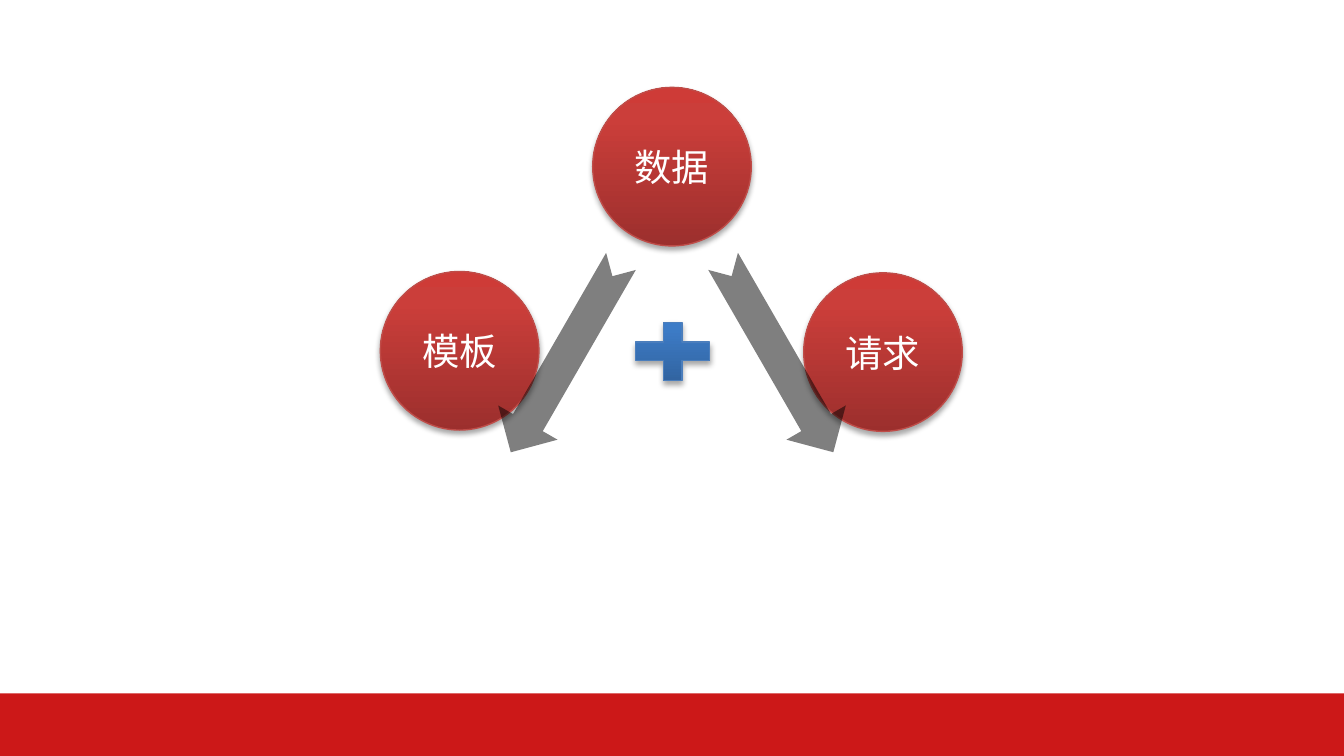
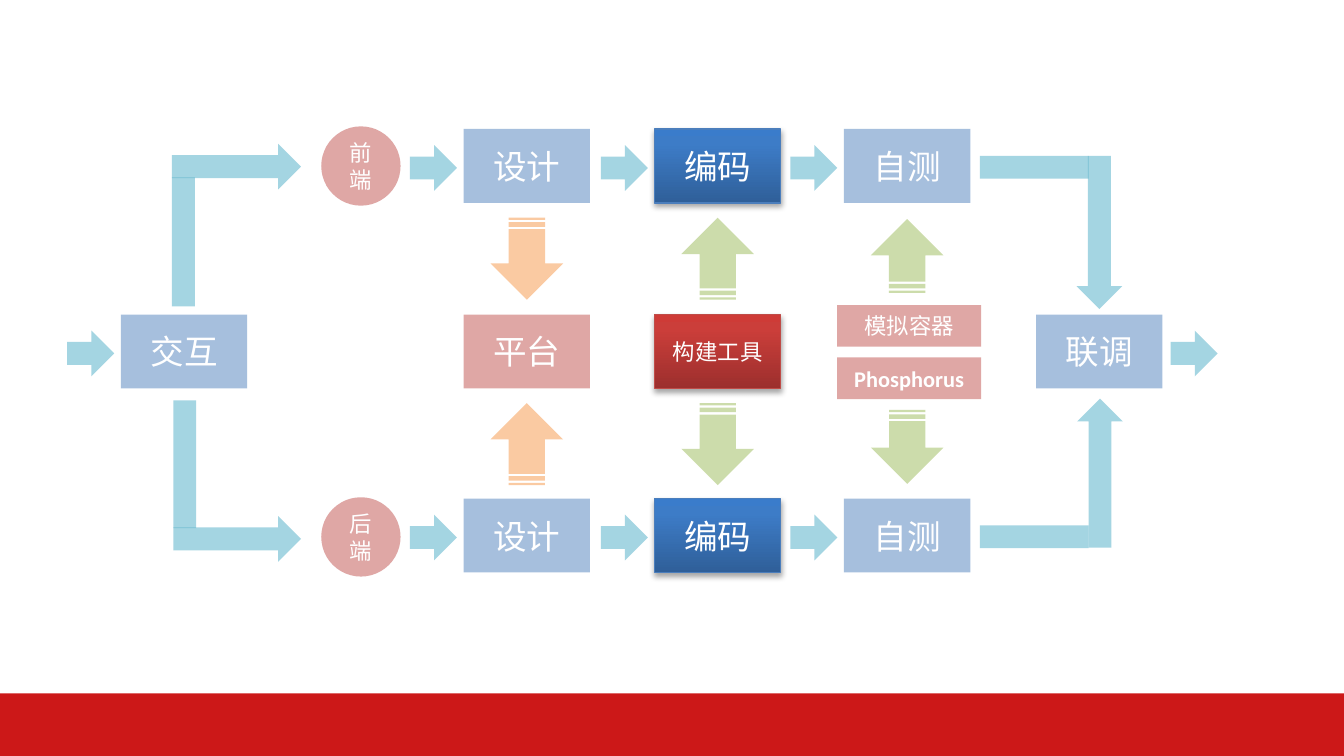
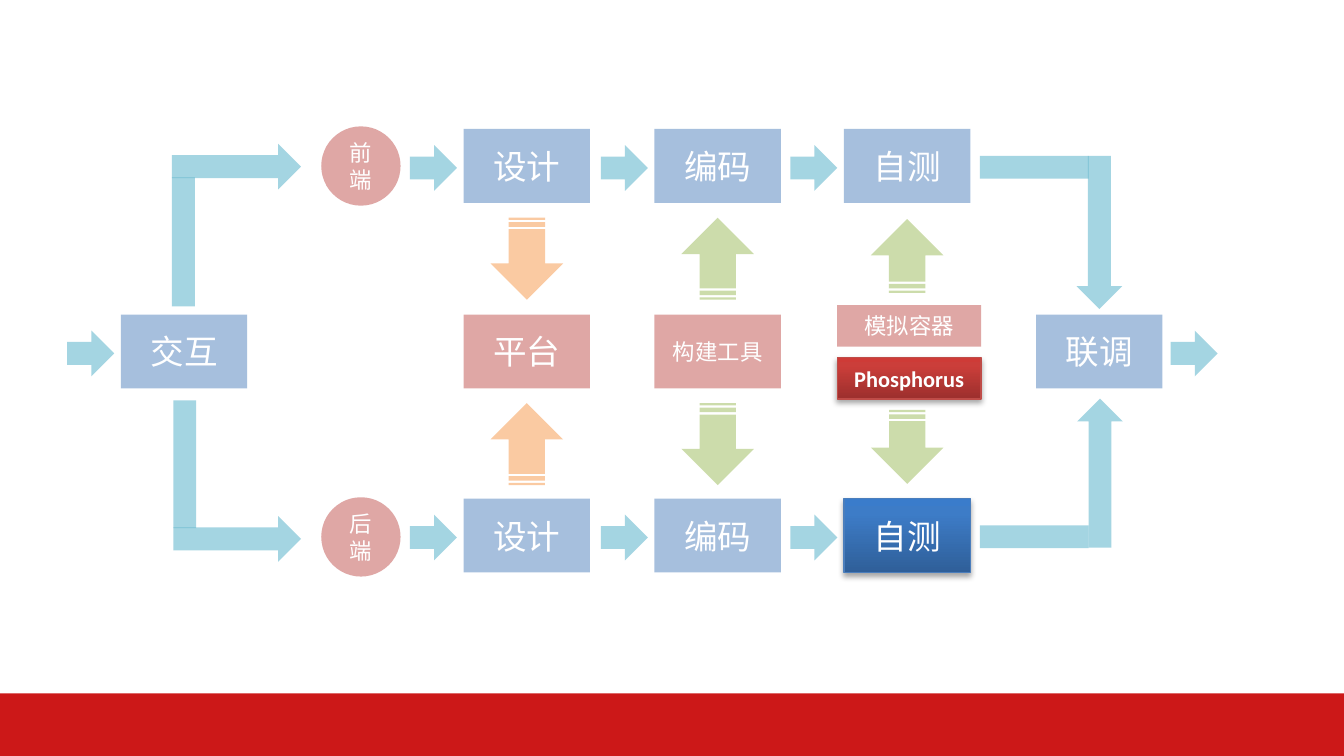
from lxml.etree import SubElement
from pptx import Presentation
from pptx.dml.color import RGBColor
from pptx.enum.shapes import MSO_SHAPE
from pptx.enum.text import MSO_ANCHOR, PP_ALIGN
from pptx.oxml.ns import qn
from pptx.util import Inches, Pt

# Shared look
CJK = "Noto Sans CJK SC"
WHITE, BAND, BLACK = "FFFFFF", "CC1818", "000000"
BLUE, RED, TEAL, ORANGE, GREEN = "4F81BD", "C0504D", "4BACC6", "F79646", "9BBB59"
GLOSS = {  # gradient stops from bottom to top, then the outline
    RED: (((0, "9C2F2D"), (80, "CB3E3A"), (100, "CE3B37")), "BF4C48"),
    BLUE: (((0, "2F5F99"), (80, "3D7CC7"), (100, "3A7CCB")), "4B7EBC"),
}

# Slide 1: inputs and the arrows leaving the top one
INPUTS = [("模板", 2.83, 2.02), ("请求", 5.98, 2.03), ("数据", 4.41, 0.65)]
INPUT_ARROWS = [(4.97, 60), (3.39, 120)]

# Slides 2 and 3: the development flow
FRONT, MIDDLE, BACK = 0.96, 2.34, 3.71
BOX_W, BOX_H = 0.94, 0.55
ARROW_W, ARROW_H = 0.35, 0.34
STAGES = [("设计", 3.45), ("编码", 4.87), ("自测", 6.28)]
TEAMS = [("前端", 0.94), ("后端", 3.70)]
ENDS = [("交互", 0.90, 0.50), ("联调", 7.71, 8.71)]  # label, box left, arrow left
TOOLS = [
    ("平台", (3.45, MIDDLE, BOX_W, BOX_H), {"size": 18}),
    ("构建工具", (4.87, MIDDLE, BOX_W, BOX_H), {"size": 12}),
    ("模拟容器", (6.23, 2.27, 1.07, 0.31), {"size": 12}),
    ("Phosphorus", (6.23, 2.66, 1.07, 0.31), {"size": 12, "font": "Calibri", "bold": True}),
]
# colour, length, distance from the middle row, rotation above and below
TOOL_ARROWS = [
    (ORANGE, 0.61, 0.69, 90, 270),
    (GREEN, 0.61, 0.69, 270, 90),
    (GREEN, 0.55, 0.71, 270, 90),
]
# Bent arrows: plain bar, then the arrow that joins it, with rotations
BENDS = [
    ((7.61, 0.84, 0.17, 0.81), 90, (7.61, 1.56, 1.14, 0.34), 90),
    ((7.61, 3.59, 0.17, 0.81), 90, (7.63, 3.35, 1.11, 0.34), 270),
    ((1.28, 1.32, 0.17, 0.96), 0, (1.28, 1.07, 0.96, 0.34), 0),
    ((1.29, 2.98, 0.17, 0.95), 0, (1.29, 3.84, 0.95, 0.34), 0),
]
HIGHLIGHTS = [
    {("编码", FRONT), ("编码", BACK), ("构建工具", MIDDLE)},
    {("自测", BACK), ("Phosphorus", 2.66)},
]


def rgb(color):
    return RGBColor.from_string(color)


def add_part(slide, preset, at, color, alpha=100, rotation=0):
    part = slide.shapes.add_shape(preset, *map(Inches, at))
    part.rotation = rotation
    part.shadow.inherit = False
    part.line.fill.background()
    part.fill.solid()
    part.fill.fore_color.rgb = rgb(color)
    if alpha < 100:
        tint = part._element.spPr.find(qn("a:solidFill"))[0]
        SubElement(tint, qn("a:alpha"), val=str(alpha * 1000))
    return part


def add_glossy(slide, preset, at, color):
    part = add_part(slide, preset, at, color)
    stops, outline = GLOSS[color]
    part.line.color.rgb = rgb(outline)
    part.line.width = Pt(0.75)
    part.fill.gradient()
    part.fill.gradient_angle = 90
    properties = part._element.spPr
    stop_list = properties.find(qn("a:gradFill")).find(qn("a:gsLst"))
    stop_list.clear()
    for position, stop_color in stops:
        stop = SubElement(stop_list, qn("a:gs"), pos=str(position * 1000))
        SubElement(stop, qn("a:srgbClr"), val=stop_color)
    shadow = SubElement(
        properties.find(qn("a:effectLst")), qn("a:outerShdw"),
        blurRad=str(Pt(3.1)), dist=str(Pt(1.8)), dir="5400000", rotWithShape="0")
    shade = SubElement(shadow, qn("a:srgbClr"), val=BLACK)
    SubElement(shade, qn("a:alpha"), val="35000")
    return part


def write(part, text, size=18, font=CJK, bold=False, color=WHITE):
    frame = part.text_frame
    frame.word_wrap = True
    frame.vertical_anchor = MSO_ANCHOR.MIDDLE
    paragraph = frame.paragraphs[0]
    paragraph.alignment = PP_ALIGN.CENTER
    run = paragraph.add_run()
    run.text = text
    run.font.size, run.font.name, run.font.bold = Pt(size), font, bold
    run.font.color.rgb = rgb(color)
    SubElement(run.font._element, qn("a:ea"), typeface=font)


def add_slide(deck):
    slide = deck.slides.add_slide(deck.slide_layouts[6])
    add_part(slide, MSO_SHAPE.RECTANGLE, (0, 5.16, 10, 0.47), BAND)
    return slide


def build_inputs(deck):
    slide = add_slide(deck)
    for label, left, top in INPUTS:
        circle = add_glossy(slide, MSO_SHAPE.FLOWCHART_CONNECTOR, (left, top, 1.18, 1.18), RED)
        write(circle, label, size=20)
    add_glossy(slide, MSO_SHAPE.MATH_PLUS, (4.63, 2.32, 0.75, 0.59), BLUE)
    for left, rotation in INPUT_ARROWS:
        add_part(slide, MSO_SHAPE.NOTCHED_RIGHT_ARROW, (left, 2.4, 1.64, 0.51),
                 BLACK, alpha=50, rotation=rotation)


def build_flow(deck, highlights):
    slide = add_slide(deck)

    def faded(preset, at, color, rotation=0):
        return add_part(slide, preset, at, color, alpha=50, rotation=rotation)

    def box(label, at, color, **text_format):
        if (label, at[1]) in highlights:
            part = add_glossy(slide, MSO_SHAPE.RECTANGLE, at, color)
        else:
            part = faded(MSO_SHAPE.RECTANGLE, at, color)
        write(part, label, **text_format)

    def step_arrow(left, row):
        faded(MSO_SHAPE.RIGHT_ARROW, (left, row + 0.12, ARROW_W, ARROW_H), TEAL)

    # Teams and their stages
    for label, top in TEAMS:
        circle = faded(MSO_SHAPE.FLOWCHART_CONNECTOR, (2.39, top, 0.59, 0.59), RED)
        write(circle, label, size=12)
    for label, left in STAGES:
        for row in (FRONT, BACK):
            step_arrow(left - 0.4, row)
            box(label, (left, row, BOX_W, BOX_H), BLUE)

    # Start and end of the flow
    for label, left, arrow_left in ENDS:
        box(label, (left, MIDDLE, BOX_W, BOX_H), BLUE)
        step_arrow(arrow_left, MIDDLE)
    for bar, bar_rotation, arrow, arrow_rotation in BENDS:
        faded(MSO_SHAPE.RECTANGLE, bar, TEAL, bar_rotation)
        faded(MSO_SHAPE.RIGHT_ARROW, arrow, TEAL, arrow_rotation)

    # Tools and the arrows linking them to the stages
    for label, at, text_format in TOOLS:
        box(label, at, RED, **text_format)
    for (_, left), (color, length, gap, above, below) in zip(STAGES, TOOL_ARROWS):
        center_x, center_y = left + BOX_W / 2, MIDDLE + BOX_H / 2
        for offset, rotation in ((-gap, above), (gap, below)):
            at = (center_x - length / 2, center_y + offset - 0.27, length, 0.54)
            faded(MSO_SHAPE.STRIPED_RIGHT_ARROW, at, color, rotation)


def main():
    deck = Presentation()
    deck.slide_width = Inches(10)
    deck.slide_height = Inches(10) * 9 // 16
    build_inputs(deck)
    for highlights in HIGHLIGHTS:
        build_flow(deck, highlights)
    deck.save("out.pptx")


if __name__ == "__main__":
    main()
